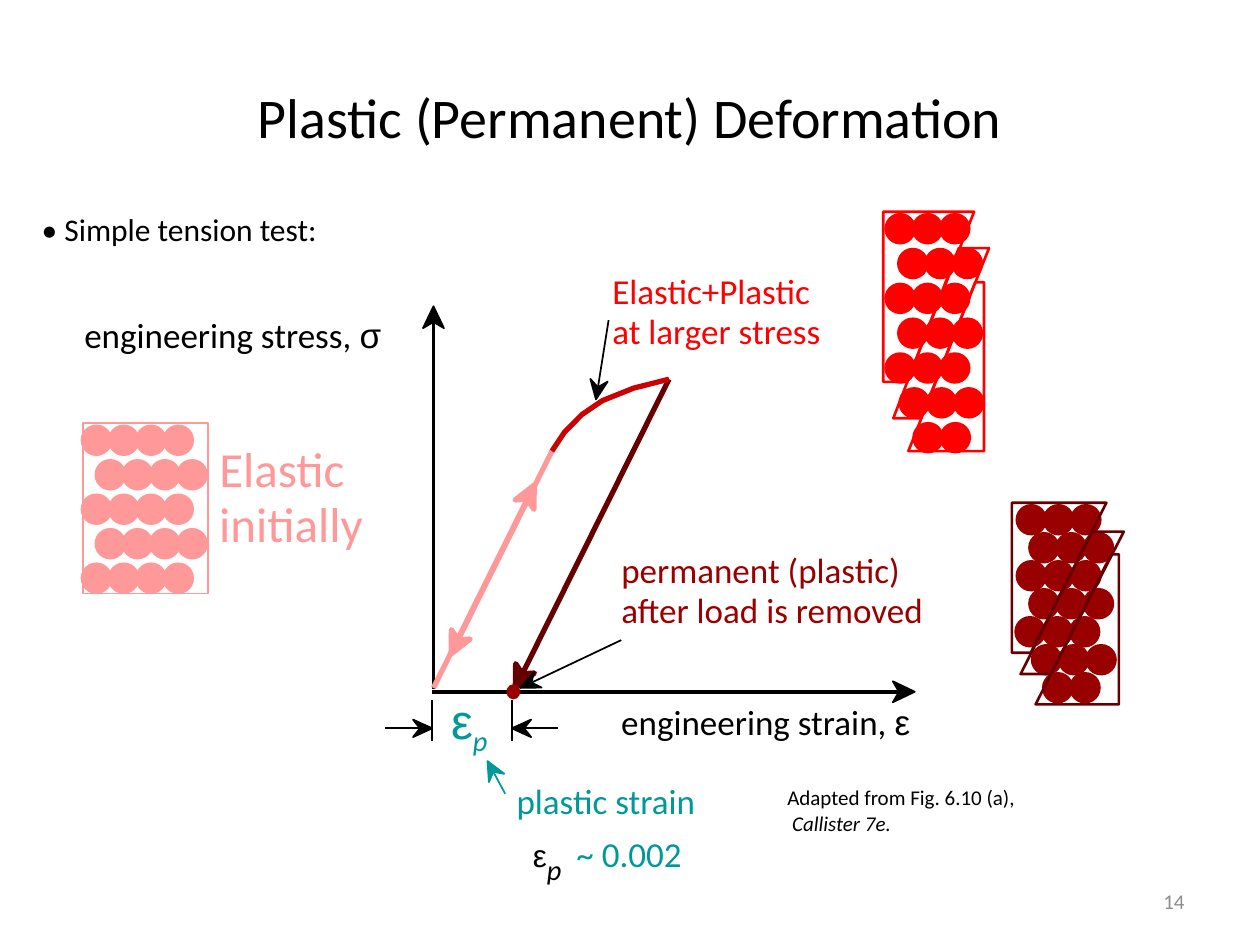
from math import hypot

from pptx import Presentation
from pptx.dml.color import RGBColor
from pptx.enum.shapes import MSO_CONNECTOR as CONN, MSO_SHAPE as SHAPE
from pptx.enum.text import MSO_ANCHOR as ANCHOR, PP_ALIGN as ALIGN
from pptx.oxml.ns import qn
from pptx.util import Pt

BLACK, TEAL, PINK = "000000", "009999", "FF9999"
RED, CURVE_RED, DARK_RED, MAROON = "FF0000", "CC0000", "990000", "660000"
ATOM, ATOM_STEP = 18, 15.6
SMALL_HEAD = (11, 5, 7)  # length, half width, distance from tip to notch
LARGE_HEAD = (12.5, 6, 9)


def color(hex_string):
    return RGBColor.from_string(hex_string)


def style(sp, fill=None, line=None, width=1):
    sp.shadow.inherit = False
    if fill:
        sp.fill.solid()
        sp.fill.fore_color.rgb = color(fill)
    else:
        sp.fill.background()
    if line:
        sp.line.color.rgb = color(line)
        sp.line.width = Pt(width)
    else:
        sp.line.fill.background()


def shape(s, kind, box, **look):
    sp = s.shapes.add_shape(kind, *map(Pt, box))
    style(sp, **look)


def outline(s, points, closed=True, **look):
    start, *rest = [(Pt(x), Pt(y)) for x, y in points]
    builder = s.shapes.build_freeform(*start)
    builder.add_line_segments(rest, close=closed)
    style(builder.convert_to_shape(), **look)


def line(s, start, end, hex_string=BLACK, width=1):
    cn = s.shapes.add_connector(CONN.STRAIGHT, *map(Pt, (*start, *end)))
    cn.line.color.rgb = color(hex_string)
    cn.line.width = Pt(width)
    sp_pr = cn._element.spPr
    sp_pr.append(sp_pr.makeelement(qn("a:effectLst"), {}))


def arrow(s, start, tip, hex_string=BLACK, width=1, head=SMALL_HEAD, head_line=None):
    """Line that ends in the notch of a barbed head."""
    length, half, notch = head
    dist = hypot(tip[0] - start[0], tip[1] - start[1])
    ux, uy = (tip[0] - start[0]) / dist, (tip[1] - start[1]) / dist

    def behind(back, side=0):
        return tip[0] - back * ux - side * uy, tip[1] - back * uy + side * ux

    outline(s, [tip, behind(length, half), behind(notch), behind(length, -half)],
            fill=hex_string, line=hex_string, width=head_line or width)
    line(s, start, behind(notch), hex_string, width)


def text(s, box, paragraphs, size=20, hex_string=BLACK, align=ALIGN.LEFT,
         anchor=ANCHOR.TOP, inset=(0, 0), wrap=False):
    """Each paragraph is a list of (wording, overrides) runs."""
    tf = s.shapes.add_textbox(*map(Pt, box)).text_frame
    tf.word_wrap = wrap
    tf.vertical_anchor = anchor
    tf.margin_left = tf.margin_right = Pt(inset[0])
    tf.margin_top = tf.margin_bottom = Pt(inset[1])
    for i, runs in enumerate(paragraphs):
        p = tf.add_paragraph() if i else tf.paragraphs[0]
        p.alignment = align
        p.font.name, p.font.size = "Calibri", Pt(size)
        p.font.color.rgb = color(hex_string)
        for wording, overrides in runs:
            r = p.add_run()
            r.text = wording
            override_font(r.font, **overrides)


def override_font(font, name=None, size=None, hex_string=None, italic=None, subscript=False):
    if name:
        font.name = name
    if size:
        font.size = Pt(size)
    if hex_string:
        font.color.rgb = color(hex_string)
    if italic:
        font.italic = True
    if subscript:
        font._element.set("baseline", "-25000")


def label(s, box, wording, **look):
    text(s, box, [[(wording, {})]], **look)


def atoms(s, hex_string, top, row_step, rows):
    """Each row is (left, number of atoms)."""
    for i, (left, count) in enumerate(rows):
        for j in range(count):
            box = (left + j * ATOM_STEP, top + i * row_step, ATOM, ATOM)
            shape(s, SHAPE.OVAL, box, fill=hex_string)


def slip_planes(s, hex_string, planes):
    for points in planes:
        outline(s, points, line=hex_string, width=1.5)


def crystals(s):
    atoms(s, PINK, 242.6, 19.7, [(46.1, 4), (54, 4)] * 2 + [(46.1, 4)])
    shape(s, SHAPE.RECTANGLE, (47.5, 241.9, 71.3, 97.2), line=PINK)

    atoms(s, RED, 121.7, 19.9, [(505.4, 3), (512.6, 3)] * 2
          + [(505.4, 3), (513.4, 3), (521.3, 2)])
    slip_planes(s, RED, [
        [(557.3, 161.3), (562.3, 161.3), (562.3, 257.8), (519.1, 257.8)],
        [(518.4, 218.2), (504.7, 218.2), (504.7, 121), (556.6, 121)],
        [(547.9, 141.8), (565.2, 141.8), (526.3, 239), (510.5, 239)],
    ])

    atoms(s, DARK_RED, 288, 16, [(580.3, 3), (587.5, 3)] * 2
          + [(579.6, 3), (589, 3), (595.4, 2)])
    slip_planes(s, MAROON, [
        [(578.2, 287.3), (578.2, 373), (589, 373), (632.2, 287.3)],
        [(591.8, 402.5), (639.4, 402.5), (639.4, 316.8), (635, 316.8)],
        [(624.2, 303.8), (642.2, 303.8), (600.5, 385.2), (583.2, 385.2)],
    ])


def stress_strain_plot(s):
    arrow(s, (247, 395.3), (522.7, 395.3), width=2, head=LARGE_HEAD, head_line=1)
    arrow(s, (247.7, 393.8), (247.7, 175), width=2, head=LARGE_HEAD, head_line=1)
    arrow(s, (247.7, 393.1), (305.3, 277.2), PINK, 3, LARGE_HEAD)
    arrow(s, (315.4, 257.8), (257.8, 373.7), PINK, 3, LARGE_HEAD)
    arrow(s, (382.3, 216.7), (294.5, 393.1), MAROON, 3, LARGE_HEAD)
    outline(s, [(315.4, 257.8), (322.6, 247), (332.6, 236.9), (344.2, 229),
                (362.2, 221.8), (382.3, 216.7)], closed=False, line=CURVE_RED, width=3)
    arrow(s, (347.8, 182.9), (340.6, 228.2))
    arrow(s, (355, 365.8), (297.4, 393.1))
    shape(s, SHAPE.OVAL, (289.4, 391, 7.9, 8.6), fill=DARK_RED)

    for x, tail in ((247, 220.3), (292.5, 319)):
        line(s, (x, 400.3), (x, 423.4))
        arrow(s, (tail, 416.2), (x, 416.2))
    arrow(s, (288.7, 453.6), (278.6, 434.9), TEAL)


def labels(s):
    greek = {"name": "Arial"}
    sub = {"italic": True, "subscript": True}

    label(s, (36, 21.6, 648, 90), "Plastic (Permanent) Deformation", size=32,
          align=ALIGN.CENTER, anchor=ANCHOR.MIDDLE, inset=(7.2, 3.6), wrap=True)
    label(s, (23.8, 120.2, 318, 28.8), "• Simple tension test:", size=18, wrap=True)
    text(s, (48.2, 179.3, 186.5, 24), [[("engineering stress, ", {}), ("σ", greek)]])
    text(s, (355, 400.3, 184.3, 24), [[("engineering strain, ", {}), ("ε", greek)]])
    label(s, (349.9, 154.1, 135.4, 24), "Elastic+Plastic", hex_string=RED)
    label(s, (349.9, 177.1, 132.5, 24), "at larger stress", hex_string=RED)
    label(s, (355, 313.2, 176.4, 24), "permanent (plastic)", hex_string=DARK_RED)
    label(s, (355, 336.2, 186.5, 24), "after load is removed", hex_string=DARK_RED)
    label(s, (125.3, 250.6, 90, 33.8), "Elastic", size=28, hex_string=PINK)
    label(s, (125.3, 282.2, 84.2, 33.8), "initially", size=28, hex_string=PINK)
    text(s, (257.8, 394.6, 23, 33.8), [[("ε", greek), ("p", sub)]],
         size=28, hex_string=TEAL)
    label(s, (295.2, 445.7, 110.9, 24), "plastic strain", hex_string=TEAL)
    text(s, (297.4, 464.4, 122.4, 36.7),
         [[("ε", greek), ("p", {"size": 28, **sub}), (" ", {}),
           (" ~ 0.002", {"size": 20, "hex_string": TEAL})]],
         size=18, inset=(7.2, 3.6))
    text(s, (442.8, 445, 157.7, 36),
         [[("Adapted from Fig. 6.10 (a),", {})],
          [(" ", {}), ("Callister 7e.", {"italic": True})]],
         size=12, inset=(7.2, 3.6))
    label(s, (516.2, 500.4, 167.8, 28.8), "14", size=12, hex_string="8C8C8C",
          align=ALIGN.RIGHT, anchor=ANCHOR.MIDDLE, inset=(7.2, 3.6), wrap=True)


def main():
    prs = Presentation()
    prs.slide_width, prs.slide_height = Pt(720), Pt(540)
    s = prs.slides.add_slide(prs.slide_layouts[6])
    stress_strain_plot(s)
    crystals(s)
    labels(s)
    prs.save("out.pptx")


if __name__ == "__main__":
    main()
